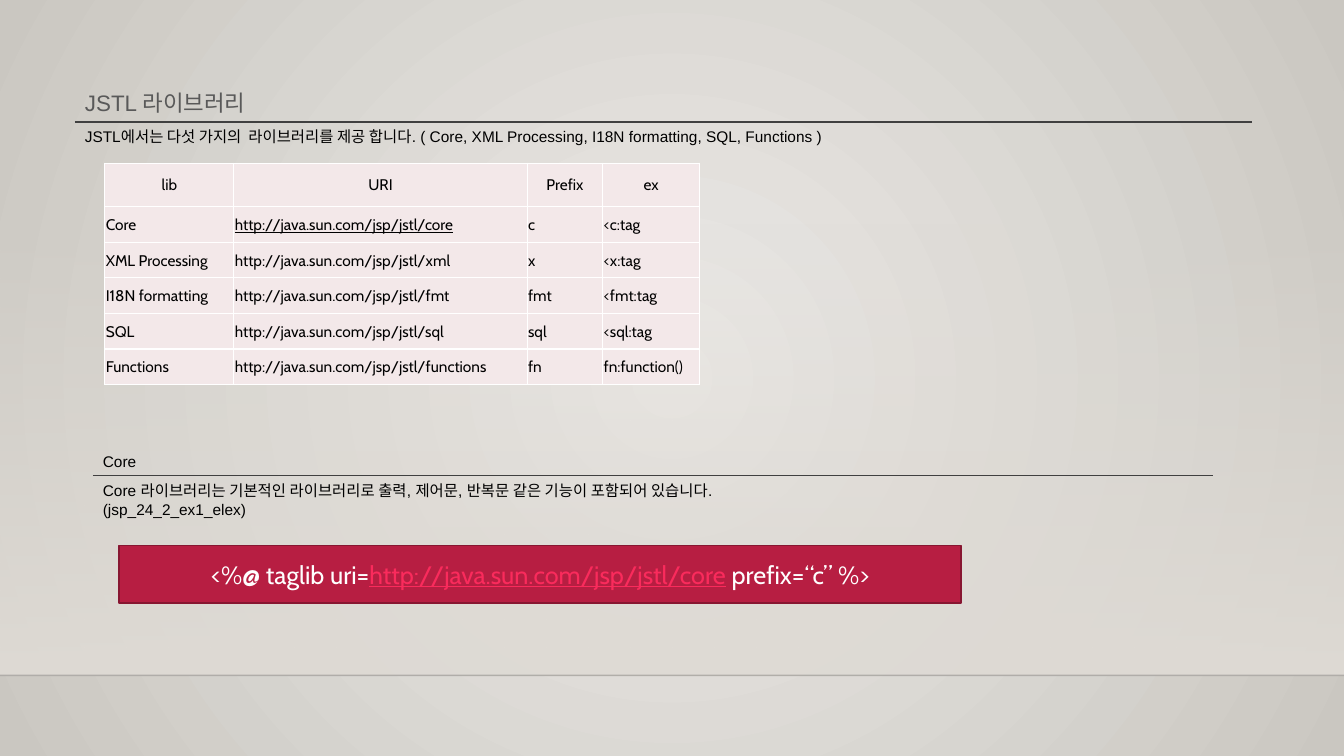
from pptx import Presentation
from pptx.dml.color import RGBColor
from pptx.enum import shapes, text
from pptx.oxml import parse_xml
from pptx.oxml.ns import nsdecls, qn
from pptx.util import Pt

BLACK = RGBColor(0x00, 0x00, 0x00)
WHITE = RGBColor(0xFF, 0xFF, 0xFF)
TITLE_GRAY = RGBColor(0x59, 0x59, 0x59)
RULE_GRAY = RGBColor(0x40, 0x40, 0x40)
FLOOR_LINE = RGBColor(0x00, 0x00, 0x01)
CENTER_GRAY = RGBColor(0xEC, 0xEA, 0xE7)
EDGE_GRAY = RGBColor(0xCA, 0xC7, 0xC1)
BAND_GRAY = RGBColor(0xDF, 0xDB, 0xD5)
CELL_PINK = RGBColor(0xF3, 0xE8, 0xE9)
CRIMSON = RGBColor(0xB7, 0x1E, 0x42)
DARK_CRIMSON = RGBColor(0x87, 0x16, 0x31)
LINK_PINK = RGBColor(0xFA, 0x2B, 0x5C)


def add_run(paragraph, content, size, font_name, color, underline=None):
    run = paragraph.add_run()
    run.text = content
    for name, value in {"size": Pt(size), "name": font_name, "underline": underline}.items():
        setattr(run.font, name, value)
    run.font.color.rgb = color


def place(shape, left, top, width, height):
    box = {"left": left, "top": top, "width": width, "height": height}
    for name, value in box.items():
        setattr(shape, name, Pt(value))


presentation = Presentation()
presentation.slide_width = Pt(960)
presentation.slide_height = Pt(540)
slide = presentation.slides.add_slide(presentation.slide_layouts[5])

background = slide.background.fill
background.gradient()
for stop, color in zip(background.gradient_stops, [CENTER_GRAY, EDGE_GRAY]):
    stop.color.rgb = color
gradient = slide.element.find(".//" + qn("a:gradFill"))
gradient.replace(gradient.find(qn("a:lin")), parse_xml(
    f'<a:path {nsdecls("a")} path="circle">'
    '<a:fillToRect l="50000" t="50000" r="50000" b="50000"/></a:path>'))

band = slide.shapes.add_shape(
    shapes.MSO_SHAPE.RECTANGLE, Pt(0), Pt(159), Pt(960), Pt(323.4))
band.shadow.inherit = False
band.line.fill.background()
band.fill.gradient()
band.fill.gradient_angle = 270
for stop in band.fill.gradient_stops:
    stop.color.rgb = BAND_GRAY
band_color = band.element.find(".//" + qn("a:srgbClr"))
band_color.append(parse_xml(f'<a:alpha {nsdecls("a")} val="0"/>'))

rules = [
    (0, 960, 482.4, FLOOR_LINE),
    (53.5, 894.2, 87.1, RULE_GRAY),
    (66.4, 866.2, 339.8, RULE_GRAY),
]
for left, right, top, color in rules:
    rule = slide.shapes.add_connector(
        shapes.MSO_CONNECTOR.STRAIGHT, Pt(left), Pt(top), Pt(right), Pt(top))
    rule.line.color.rgb = color
    rule.line.width = Pt(1)
    rule.element.spPr.append(parse_xml(f'<a:effectLst {nsdecls("a")}/>'))
    if color == FLOOR_LINE:
        rule.element.find(".//" + qn("a:srgbClr")).append(
            parse_xml(f'<a:alpha {nsdecls("a")} val="20000"/>'))

title = slide.shapes.title
place(title, 53.5, 59.9, 841, 26.6)
title.text_frame.vertical_anchor = text.MSO_ANCHOR.TOP
title.text_frame.auto_size = text.MSO_AUTO_SIZE.NONE
title_paragraph = title.text_frame.paragraphs[0]
title_paragraph.alignment = text.PP_ALIGN.LEFT
add_run(title_paragraph, "JSTL 라이브러리", 16, "Arial", TITLE_GRAY)

notes = [
    (53.5, 87.1, 841, 20.6, [
        "JSTL에서는 다섯 가지의  라이브러리를 제공 합니다. "
        "( Core, XML Processing, I18N formatting, SQL, Functions )"]),
    (66.4, 319.2, 799.8, 20.6, ["Core"]),
    (66.4, 340.4, 799.8, 33.9, [
        "Core 라이브러리는 기본적인 라이브러리로 출력, 제어문, 반복문 같은 기능이 포함되어 있습니다.",
        "(jsp_24_2_ex1_elex)"]),
]
for left, top, width, height, lines in notes:
    frame = slide.shapes.add_textbox(Pt(left), Pt(top), Pt(width), Pt(height)).text_frame
    frame.word_wrap = True
    for index, line in enumerate(lines):
        paragraph = frame.add_paragraph() if index else frame.paragraphs[0]
        add_run(paragraph, line, 11, "Arial", BLACK)

libraries = [
    ("lib", "URI", "Prefix", "ex"),
    ("Core", "http://java.sun.com/jsp/jstl/core", "c", "<c:tag"),
    ("XML Processing", "http://java.sun.com/jsp/jstl/xml", "x", "<x:tag"),
    ("I18N formatting", "http://java.sun.com/jsp/jstl/fmt", "fmt", "<fmt:tag"),
    ("SQL", "http://java.sun.com/jsp/jstl/sql", "sql", "<sql:tag"),
    ("Functions", "http://java.sun.com/jsp/jstl/functions", "fn", "fn:function()"),
]
column_widths = [92.2, 209.5, 54, 69.1]
row_heights = [31] + [25.45] * 5
table = slide.shapes.add_table(
    len(libraries), len(column_widths), Pt(74.9), Pt(116.6),
    Pt(sum(column_widths)), Pt(sum(row_heights))).table
table.first_row = False
table.horz_banding = False
for column, width in zip(table.columns, column_widths):
    column.width = Pt(width)
for row, height in zip(table.rows, row_heights):
    row.height = Pt(height)

cell_format = {
    "margin_left": Pt(0.7), "margin_right": Pt(0.7), "margin_top": Pt(0.7),
    "margin_bottom": Pt(0), "vertical_anchor": text.MSO_ANCHOR.MIDDLE,
}
for row_index, library in enumerate(libraries):
    for column_index, content in enumerate(library):
        cell = table.cell(row_index, column_index)
        for name, value in cell_format.items():
            setattr(cell, name, value)
        paragraph = cell.text_frame.paragraphs[0]
        paragraph.alignment = text.PP_ALIGN.LEFT if row_index else text.PP_ALIGN.CENTER
        underline = True if (row_index, column_index) == (1, 1) else None
        add_run(paragraph, content, 11, "Cabin", BLACK, underline)
        properties = cell._tc.get_or_add_tcPr()
        for side in ("lnL", "lnR", "lnT", "lnB"):
            properties.append(parse_xml(
                f'<a:{side} {nsdecls("a")} w="{Pt(1)}"><a:solidFill>'
                f'<a:srgbClr val="{WHITE}"/></a:solidFill></a:{side}>'))
        cell.fill.solid()
        cell.fill.fore_color.rgb = CELL_PINK

directive = slide.shapes.add_shape(
    shapes.MSO_SHAPE.RECTANGLE, Pt(85), Pt(389.7), Pt(601.7), Pt(40.9))
directive.shadow.inherit = False
directive.fill.solid()
directive.fill.fore_color.rgb = CRIMSON
directive.line.color.rgb = DARK_CRIMSON
directive.line.width = Pt(1.25)
directive.text_frame.vertical_anchor = text.MSO_ANCHOR.MIDDLE
directive_paragraph = directive.text_frame.paragraphs[0]
directive_paragraph.alignment = text.PP_ALIGN.CENTER
for content, color, underline in [
    ("<%@ taglib uri=", WHITE, None),
    ("http://java.sun.com/jsp/jstl/core", LINK_PINK, True),
    (" prefix=“c” %>", WHITE, None),
]:
    add_run(directive_paragraph, content, 18, "Cabin", color, underline)

presentation.save("out.pptx")
